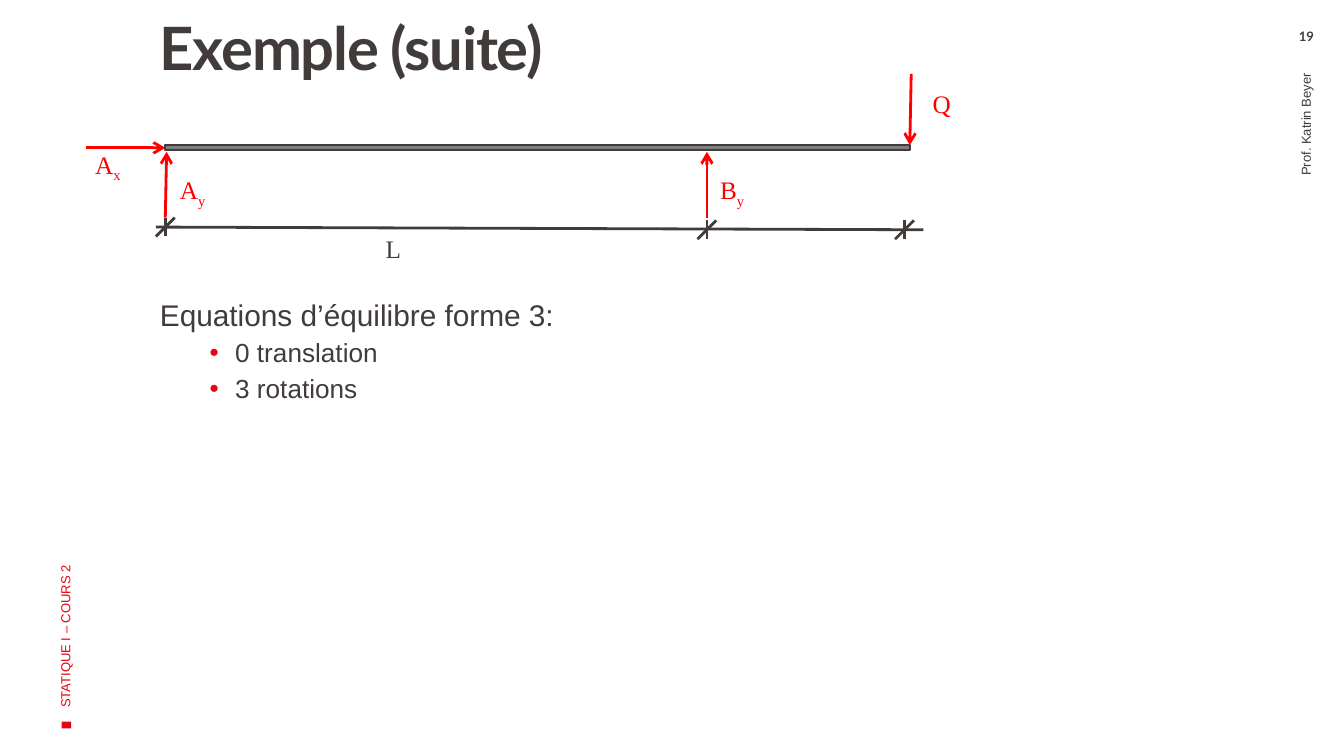
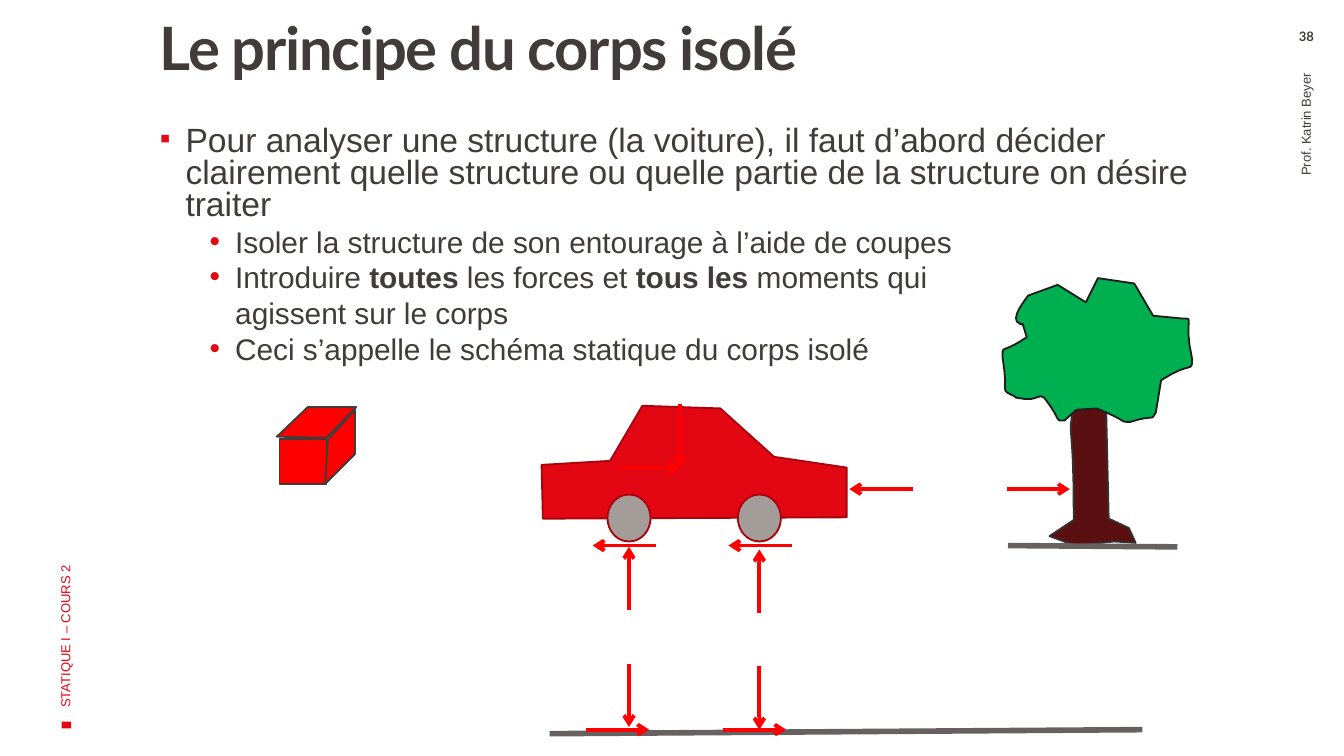
import dataclasses

import lxml.etree
import pptx
import pptx.dml.color
import pptx.enum.shapes
import pptx.enum.text
import pptx.oxml.ns
import pptx.util


@dataclasses.dataclass(frozen=True)
class Theme:
    red: str = "E30613"
    force: str = "FF0000"
    ink: str = "413C3A"
    beam: str = "808080"
    ground: str = "676161"
    car_edge: str = "A8040E"
    wheel: str = "A49C99"
    trunk: str = "5A1010"
    trunk_edge: str = "343131"
    leaves: str = "00B050"
    leaves_edge: str = "201E1D"
    heading: str = "Lato"
    text: str = "Arial"
    symbol: str = "Times New Roman"
    title_size: float = 32
    symbol_size: float = 13.5
    small: float = 7


THEME = Theme()
SHAPES = pptx.enum.shapes.MSO_SHAPE
ALIGN = pptx.enum.text.PP_ALIGN
ANCHOR = pptx.enum.text.MSO_ANCHOR

# Content; positions are in inches and become Cm in length()
COURSE = "STATIQUE I – COURS 2"
TEACHER = "Prof. Katrin Beyer"

# Paragraphs: (kind, size, runs), where a run is (text, emphasis)
EXAMPLE = {
    "title": "Exemple (suite)", "page": "19",
    "box": (0.99, 2.19, 8.45, 1.17), "spacing": 0.9,
    "body": [
        ("plain", 16, [("Equations d’équilibre forme 3:", None)]),
        ("dot", 14, [("0 translation", None)]),
        ("dot", 14, [("3 rotations", None)]),
    ],
}
ISOLATED = {
    "title": "Le principe du corps isolé", "page": "38",
    "box": (0.99, 0.89, 8.29, 1.92), "spacing": 0.8,
    "body": [
        ("square", 18, [("Pour analyser une structure (la voiture), il faut d’abord décider "
                         "clairement quelle structure ou quelle partie de la structure on "
                         "désire traiter", None)]),
        ("dot", 16, [("Isoler la structure de son entourage à l’aide de coupes", None)]),
        ("dot", 16, [("Introduire ", None), ("toutes", "bold"), (" les forces et ", None),
                     ("tous les ", "bold"), ("moments qui", None)]),
        ("continued", 16, [("agissent sur le corps", None)]),
        ("dot", 16, [("Ceci s’appelle le schéma statique du corps isolé", None)]),
    ],
}
# kind: (left margin, first indent, space before, bullet, bullet size)
BODY_KINDS = {
    "plain": (0, 0, 7.5, None, None),
    "square": (0.19, -0.19, 7.5, "▪", 90),
    "dot": (0.56, -0.19, 3.8, "•", 100),
    "continued": (0.56, 0, 3.8, None, None),
}

# Beam: dimension marks, reactions and their symbols
BEAM = (1.23, 1.08, 5.54, 0.04)
DIMENSION = (1.16, 1.69, 6.87, 1.71)
DIMENSION_MARKS = [(1.23, 1.69), (5.26, 1.71), (6.73, 1.71)]
MARK_REACH = 0.07
BEAM_FORCES = [(6.78, 0.55, 6.77, 1.08), (5.26, 1.62, 5.26, 1.13), (1.23, 1.62, 1.24, 1.13)]
AXIAL_FORCE = (0.64, 1.1, 1.23, 1.1)
BEAM_SYMBOLS = [
    ("L", "", (2.77, 1.69, 0.32, 0.36), THEME.ink),
    ("Q", "", (6.84, 0.61, 0.35, 0.36), THEME.force),
    ("B", "y", (5.26, 1.25, 0.41, 0.36), THEME.force),
    ("A", "y", (1.24, 1.25, 0.41, 0.36), THEME.force),
    ("A", "x", (0.61, 1.06, 0.42, 0.36), THEME.force),
]

# Outlines: pairs are corners, six numbers are a Bézier curve
CAR = [(4.78, 3.02), (4.54, 3.43), (4.03, 3.46), (4.04, 3.86), (6.3, 3.85), (6.3, 3.48),
       (5.76, 3.4), (5.36, 3.04)]
WHEELS = [(4.52, 3.68, 0.32, 0.35), (5.49, 3.68, 0.32, 0.35)]
TRUNK = [(7.99, 3.01), (7.94, 3.32, 7.99, 3.04, 7.99, 3.87), (7.81, 3.99), (8, 4.06),
         (8.29, 4.03), (8.45, 4.04), (8.4, 3.93), (8.25, 3.86), (8.23, 3.02)]
LEAVES = [(8.16, 3.04), (8.41, 3.14, 8.32, 3.14, 8.41, 3.14),
          (8.6, 3.08, 8.56, 3.14, 8.6, 3.07), (8.64, 2.83),
          (8.87, 2.68, 8.87, 2.78, 8.87, 2.67), (8.8, 2.36, 8.9, 2.37, 8.79, 2.37),
          (8.58, 2.35), (8.44, 2.11), (8.17, 2.07), (8.08, 2.25), (7.87, 2.12), (7.65, 2.2),
          (7.64, 2.22, 7.5, 2.38, 7.59, 2.41), (7.6, 2.42, 7.6, 2.41, 7.61, 2.41),
          (7.64, 2.51), (7.45, 2.64, 7.46, 2.56, 7.46, 2.66),
          (7.51, 2.95, 7.43, 2.89, 7.55, 2.95), (7.56, 2.96),
          (7.64, 2.97, 7.6, 2.97, 7.67, 2.97), (7.76, 2.95, 7.73, 2.94, 7.77, 2.96),
          (7.91, 3.14, 7.84, 3.13, 7.92, 3.13), (8.01, 3.05)]
CRATE_FRONT = (2.08, 3.27, 0.35, 0.33)
CRATE_SIDES = [
    [(2.06, 3.25), (2.29, 3.03), (2.65, 3.03), (2.43, 3.26)],
    [(2.44, 3.27), (2.42, 3.6), (2.64, 3.38), (2.64, 3.05)],
]
GROUNDS = [(4.09, 5.46, 8.5, 5.43), (7.5, 4.06, 8.76, 4.07)]

# Contact forces all have one length; each is given by its tip and direction
FORCE_LENGTH = 0.47
LEFT, RIGHT, UP, DOWN = (-1, 0), (1, 0), (0, -1), (0, 1)
CONTACT_FORCES = [
    (6.32, 3.64, LEFT), (7.96, 3.64, RIGHT),
    (5.42, 4.06, LEFT), (4.41, 4.06, LEFT), (4.68, 4.07, UP), (5.65, 4.09, UP),
    (5.06, 3.48, DOWN), (5.06, 3.48, RIGHT),
    (5.85, 5.43, RIGHT), (4.83, 5.43, RIGHT), (4.68, 5.41, DOWN), (5.65, 5.43, DOWN),
]


def length(inches):
    return pptx.util.Cm(inches * 2.54)


def lengths(values):
    return [length(value) for value in values]


def rgb(value):
    return pptx.dml.color.RGBColor.from_string(value)


def add_xml(parent, tag, **attributes):
    return lxml.etree.SubElement(parent, pptx.oxml.ns.qn(tag), attributes)


# Text
def set_font(font, name, size, color, bold=False):
    font.name, font.size, font.bold = name, pptx.util.Pt(size), bold
    font.color.rgb = rgb(color)


def add_frame(slide, box, insets=(0.1, 0.05, 0.1, 0.05), anchor=ANCHOR.TOP, rotation=0, wrap=True):
    holder = slide.shapes.add_textbox(*lengths(box))
    holder.rotation = rotation
    frame = holder.text_frame
    frame.word_wrap, frame.vertical_anchor = wrap, anchor
    frame.margin_left, frame.margin_top, frame.margin_right, frame.margin_bottom = lengths(insets)
    return frame


def add_label(slide, box, text, font, size, color, bold=False, align=ALIGN.LEFT, **frame_options):
    label = add_frame(slide, box, **frame_options).paragraphs[0]
    label.alignment = align
    set_font(label.font, font, size, color, bold)
    label.add_run().text = text
    return label


def add_body(slide, content):
    frame = add_frame(slide, content["box"], (0.2, 0.05, 0.1, 0.05))
    for index, (kind, size, runs) in enumerate(content["body"]):
        line = frame.add_paragraph() if index else frame.paragraphs[0]
        margin, indent, before, bullet, bullet_size = BODY_KINDS[kind]
        properties = line._p.get_or_add_pPr()
        properties.set("marL", str(length(margin)))
        properties.set("indent", str(length(indent)))
        if bullet:
            add_xml(add_xml(properties, "a:buClr"), "a:srgbClr", val=THEME.red)
            add_xml(properties, "a:buSzPct", val=str(bullet_size * 1000))
            add_xml(properties, "a:buFont", typeface=THEME.text)
            add_xml(properties, "a:buChar", char=bullet)
        line.line_spacing = content["spacing"]
        if index:
            line.space_before = pptx.util.Pt(before)
        set_font(line.font, THEME.text, size, THEME.ink)
        for text, emphasis in runs:
            run = line.add_run()
            run.text = text
            if emphasis:
                run.font.bold = True


# Drawing
def paint(shape, fill, edge=None):
    shape.shadow.inherit = False
    shape.fill.solid()
    shape.fill.fore_color.rgb = rgb(fill)
    if edge:
        shape.line.color.rgb = rgb(edge)
        shape.line.width = pptx.util.Pt(1)
    else:
        shape.line.fill.background()
    return shape


def add_solid(slide, preset, box, fill, edge=None):
    return paint(slide.shapes.add_shape(preset, *lengths(box)), fill, edge)


def flatten(outline, steps=8):
    points = [outline[0]]
    for part in outline[1:]:
        if len(part) == 2:
            points.append(part)
            continue
        controls = [points[-1], part[:2], part[2:4], part[4:]]
        for step in range(1, steps + 1):
            t = step / steps
            weights = ((1 - t) ** 3, 3 * t * (1 - t) ** 2, 3 * t * t * (1 - t), t ** 3)
            points.append(tuple(sum(w * c[axis] for w, c in zip(weights, controls))
                                for axis in (0, 1)))
    return points


def add_outline(slide, outline, fill, edge):
    start, *others = [tuple(lengths(point)) for point in flatten(outline)]
    builder = slide.shapes.build_freeform(*start)
    builder.add_line_segments(others, close=True)
    return paint(builder.convert_to_shape(), fill, edge)


def add_line(slide, ends, color, width, arrow=False):
    line = slide.shapes.add_connector(pptx.enum.shapes.MSO_CONNECTOR.STRAIGHT, *lengths(ends))
    line.line.color.rgb = rgb(color)
    line.line.width = pptx.util.Pt(width)
    if arrow:
        add_xml(line.line._get_or_add_ln(), "a:tailEnd", type="arrow")
    add_xml(line._element.spPr, "a:effectLst")
    return line


# Shared parts of every slide
def add_slide(deck, content):
    slide = deck.slides.add_slide(deck.slide_layouts[6])
    add_solid(slide, SHAPES.RECTANGLE, (0.46, 5.37, 0.07, 0.05), THEME.red)
    title = add_label(slide, (0.99, 0.14, 7.67, 1.17), content["title"], THEME.heading,
                      THEME.title_size, THEME.ink, True, insets=(0.2, 0, 0.08, 0.05))
    title.line_spacing = 0.9
    title.runs[0]._r.get_or_add_rPr().set("spc", "-70")
    add_label(slide, (-1.34, 3.04, 3.65, 1), COURSE, THEME.text, THEME.small, THEME.red,
              anchor=ANCHOR.MIDDLE, rotation=270)
    add_label(slide, (7.78, 2.05, 3.87, 0.56), TEACHER, THEME.text, THEME.small, THEME.ink,
              align=ALIGN.RIGHT, insets=(0.1, 0.05, 0.15, 0.05), anchor=ANCHOR.MIDDLE,
              rotation=270)
    add_label(slide, (9.44, 0.21, 0.56, 0.18), content["page"], THEME.heading, THEME.small,
              THEME.ink, True, ALIGN.CENTER, insets=(0.1, 0, 0.1, 0))
    add_body(slide, content)
    return slide


def draw_beam(slide):
    beam = add_solid(slide, SHAPES.RECTANGLE, BEAM, THEME.beam, THEME.ink)
    add_line(slide, DIMENSION, THEME.ink, 1.5)
    for x, y in DIMENSION_MARKS:
        for lean in (0, MARK_REACH):
            add_line(slide, (x - lean, y + MARK_REACH, x + lean, y - MARK_REACH), THEME.ink, 1.5)
    for force in BEAM_FORCES:
        add_line(slide, force, THEME.force, 1.5, arrow=True)
    add_line(slide, AXIAL_FORCE, THEME.force, 1.5, arrow=True).end_connect(beam, 1)
    for letter, subscript, box, color in BEAM_SYMBOLS:
        symbol = add_label(slide, box, letter, THEME.symbol, THEME.symbol_size, color, wrap=False)
        if subscript:
            index = symbol.add_run()
            index.text = subscript
            index._r.get_or_add_rPr().set("baseline", "-25000")


def draw_car_and_tree(slide):
    add_outline(slide, CAR, THEME.red, THEME.car_edge)
    for wheel in WHEELS:
        add_solid(slide, SHAPES.OVAL, wheel, THEME.wheel, THEME.car_edge)
    add_outline(slide, TRUNK, THEME.trunk, THEME.trunk_edge)
    add_outline(slide, LEAVES, THEME.leaves, THEME.leaves_edge)
    for ground in GROUNDS:
        add_line(slide, ground, THEME.ground, 3)
    for x, y, (right, down) in CONTACT_FORCES:
        tail = (x - right * FORCE_LENGTH, y - down * FORCE_LENGTH)
        add_line(slide, (*tail, x, y), THEME.force, 2, arrow=True)
    add_solid(slide, SHAPES.RECTANGLE, CRATE_FRONT, THEME.force, THEME.ink)
    for side in CRATE_SIDES:
        add_outline(slide, side, THEME.force, THEME.ink)


def main():
    deck = pptx.Presentation()
    deck.slide_width, deck.slide_height = pptx.util.Cm(25.4), pptx.util.Cm(14.29)
    draw_beam(add_slide(deck, EXAMPLE))
    draw_car_and_tree(add_slide(deck, ISOLATED))
    deck.save("out.pptx")


if __name__ == "__main__":
    main()
